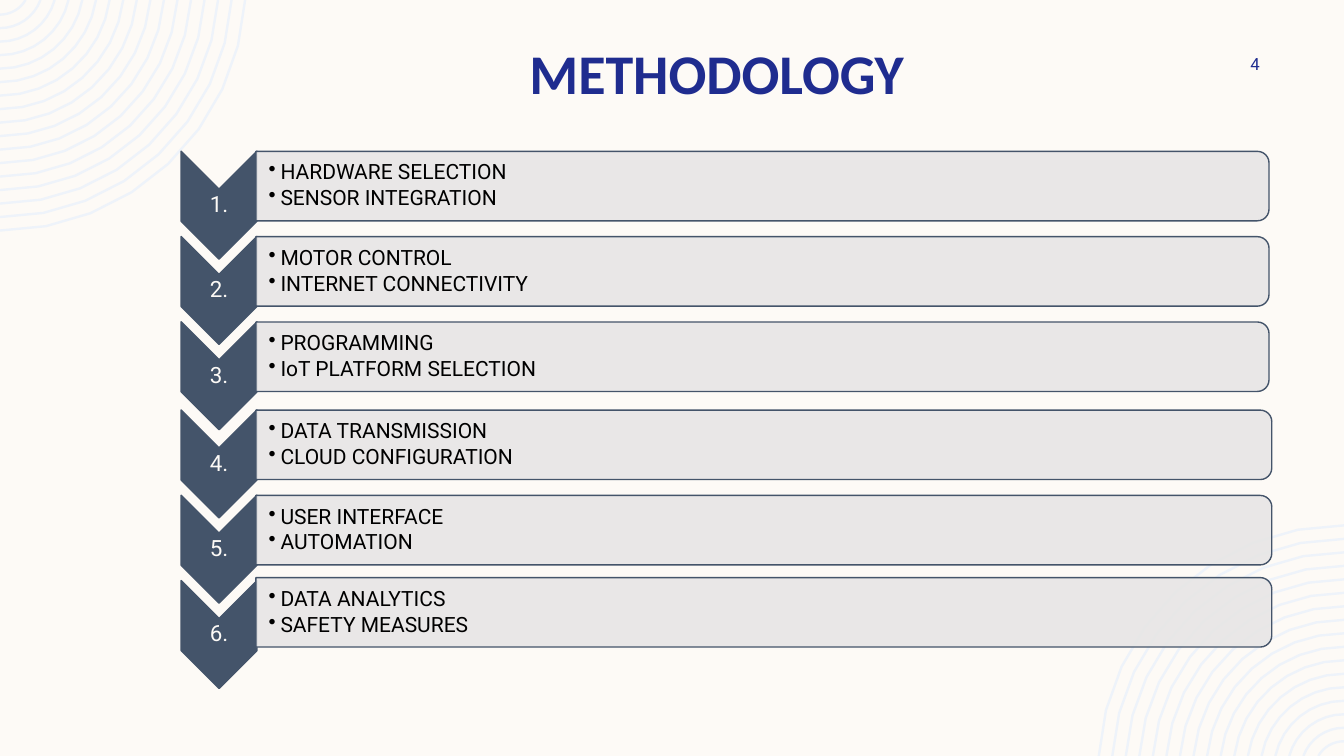
import math
from dataclasses import dataclass

from lxml import etree
from pptx import Presentation
from pptx import util as u
from pptx.dml.color import RGBColor
from pptx.enum import shapes, text
from pptx.oxml import ns


@dataclass(frozen=True)
class Theme:
    """Colours, fonts and type sizes of the slide."""
    paper: str = "FDFAF6"
    ring: str = "EEF3FA"
    navy: str = "1F2C8F"
    slate: str = "44546A"
    bar: str = "E7E6E6"
    ink: str = "000000"
    heading_font: str = "Calibri"
    body_font: str = "Roboto"
    title_size: int = 40
    step_size: int = 16
    task_size: int = 15
    page_size: int = 12


THEME = Theme()
WIDTH, HEIGHT = 33.87, 19.05
STEPS = [
    ("HARDWARE SELECTION", "SENSOR INTEGRATION"),
    ("MOTOR CONTROL", "INTERNET CONNECTIVITY"),
    ("PROGRAMMING", "IoT PLATFORM SELECTION"),
    ("DATA TRANSMISSION", "CLOUD CONFIGURATION"),
    ("USER INTERFACE", "AUTOMATION"),
    ("DATA ANALYTICS", "SAFETY MEASURES"),
]
STEPS_PER_GROUP = 3
GROUP_TOPS = (5.17, 11.69)
GROUP_BAR_LENGTHS = (25.53, 25.6)
STEP_PITCH = 2.15
BAR_RISE, LAST_BAR_RISE = 0.48, 0.56
CHEVRON_X, CHEVRON_WIDTH, CHEVRON_HEIGHT = 5.52, 1.91, 2.72
BAR_LEFT, BAR_HEIGHT = 6.45, 1.75
RING_COUNT, RING_RADIUS, RING_STEP, RING_WIDTH = 17, 6.19, 0.34, 0.06


def ring_arc(radius, drop=0.38, count=8):
    """Return the points of a ring between the top and left slide edges."""
    start = math.asin(drop / radius)
    angles = [start + (math.pi / 2 - start) * i / count for i in range(count + 1)]
    return [(radius * math.cos(a), radius * math.sin(a) - drop) for a in angles]


def add_rings(slide, opposite=False):
    """Draw concentric rings in the top left or bottom right corner."""
    arcs = []
    for i in range(RING_COUNT):
        arc = ring_arc(RING_RADIUS - RING_STEP * i)
        if opposite:
            arc = [(WIDTH - x, HEIGHT - y) for x, y in arc]
        arcs.append([(u.Cm(x), u.Cm(y)) for x, y in arc])
    builder = slide.shapes.build_freeform(*arcs[0][0])
    for i, arc in enumerate(arcs):
        if i:
            builder.move_to(*arc[0])
        builder.add_line_segments(arc[1:], close=False)
    rings = builder.convert_to_shape()
    rings.shadow.inherit = False
    rings.fill.background()
    rings.line.color.rgb = RGBColor.from_string(THEME.ring)
    rings.line.width = u.Cm(RING_WIDTH)


def add_turned_shape(slide, preset, center_x, center_y, length, breadth, fill):
    """Add a preset shape turned a quarter clockwise about its centre."""
    turned = slide.shapes.add_shape(
        preset, u.Cm(center_x - length / 2), u.Cm(center_y - breadth / 2),
        u.Cm(length), u.Cm(breadth))
    turned.rotation = 90
    turned.shadow.inherit = False
    turned.fill.solid()
    turned.fill.fore_color.rgb = RGBColor.from_string(fill)
    turned.line.color.rgb = RGBColor.from_string(THEME.slate)
    turned.line.width = u.Pt(1)
    return turned


def add_text(slide, box, lines, size, color, font=THEME.body_font, bold=False,
             align=text.PP_ALIGN.LEFT, anchor=text.MSO_ANCHOR.MIDDLE,
             insets=(0.03, 0.03, 0.03, 0.03), spacing=0.9, after=0, bullet=False):
    """Add a text box with one paragraph per line."""
    frame = slide.shapes.add_textbox(*map(u.Cm, box)).text_frame
    frame.word_wrap = True
    frame.vertical_anchor = anchor
    (frame.margin_left, frame.margin_top,
     frame.margin_right, frame.margin_bottom) = map(u.Cm, insets)
    frame.text = "\n".join(lines)
    for paragraph in frame.paragraphs:
        paragraph.alignment = align
        paragraph.line_spacing = spacing
        paragraph.space_after = u.Pt(after)
        if bullet:
            add_bullet(paragraph)
        paragraph.font.name = font
        paragraph.font.size = u.Pt(size)
        paragraph.font.bold = bold
        paragraph.font.color.rgb = RGBColor.from_string(color)


def add_bullet(paragraph, indent=0.3):
    """Give a paragraph a round bullet with a hanging indent."""
    paragraph.level = 1
    properties = paragraph._p.get_or_add_pPr()
    properties.set("marL", str(u.Cm(indent)))
    properties.set("indent", str(-u.Cm(indent)))
    etree.SubElement(properties, ns.qn("a:buChar")).set("char", "•")


def set_opacity(shape, percent):
    """Make the solid fill of a shape partly transparent."""
    color = shape._element.spPr.find(ns.qn("a:solidFill"))[0]
    etree.SubElement(color, ns.qn("a:alpha")).set("val", str(percent * 1000))


def add_step(slide, index, tasks):
    """Add a numbered chevron and the bar that lists its tasks."""
    group, row = divmod(index, STEPS_PER_GROUP)
    chevron_y = GROUP_TOPS[group] + row * STEP_PITCH
    add_turned_shape(slide, shapes.MSO_SHAPE.CHEVRON, CHEVRON_X, chevron_y,
                     CHEVRON_HEIGHT, CHEVRON_WIDTH, THEME.slate)
    add_text(slide, (CHEVRON_X - CHEVRON_WIDTH / 2, chevron_y - 0.4, CHEVRON_WIDTH, 0.8),
             [f"{index + 1}."], THEME.step_size, THEME.paper, align=text.PP_ALIGN.CENTER)

    bar_length = GROUP_BAR_LENGTHS[group]
    bar_y = chevron_y - (LAST_BAR_RISE if index == len(STEPS) - 1 else BAR_RISE)
    bar = add_turned_shape(slide, shapes.MSO_SHAPE.ROUND_2_SAME_RECTANGLE,
                           BAR_LEFT + bar_length / 2, bar_y,
                           BAR_HEIGHT, bar_length, THEME.bar)
    set_opacity(bar, 90)
    add_text(slide, (BAR_LEFT + 0.02, bar_y - 0.8, bar_length - 0.1, 1.6), tasks,
             THEME.task_size, THEME.ink, insets=(0.3, 0.03, 0.03, 0.03),
             after=2.25, bullet=True)


def main():
    """Build the methodology slide and save it."""
    deck = Presentation()
    deck.slide_width, deck.slide_height = u.Cm(WIDTH), u.Cm(HEIGHT)
    slide = deck.slides.add_slide(deck.slide_layouts[6])
    slide.background.fill.solid()
    slide.background.fill.fore_color.rgb = RGBColor.from_string(THEME.paper)

    add_rings(slide)
    add_rings(slide, opposite=True)
    add_text(slide, (11.89, -0.76, 12.34, 3.56), ["METHODOLOGY"], THEME.title_size,
             THEME.navy, font=THEME.heading_font, bold=True,
             align=text.PP_ALIGN.CENTER, anchor=text.MSO_ANCHOR.BOTTOM,
             insets=(0.25, 0.13, 0.25, 0.13), spacing=u.Pt(48.8))
    add_text(slide, (29.01, 1.27, 2.74, 0.69), ["4"], THEME.page_size, THEME.navy,
             align=text.PP_ALIGN.RIGHT, insets=(0.25, 0.13, 0, 0.13), spacing=1.0)
    for index, tasks in enumerate(STEPS):
        add_step(slide, index, tasks)
    deck.save("out.pptx")


if __name__ == "__main__":
    main()
